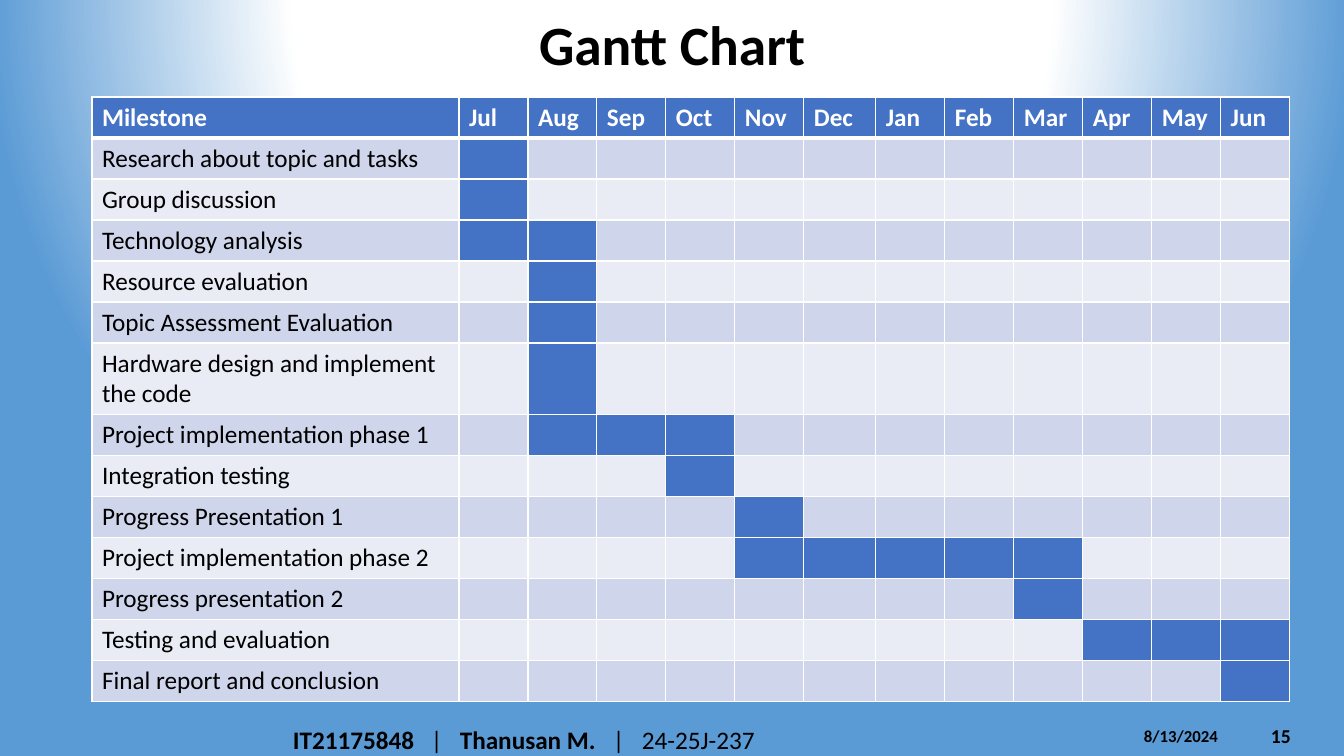
from dataclasses import dataclass

from lxml import etree
from pptx import Presentation
from pptx import util as u
from pptx.dml import color
from pptx.enum import text
from pptx.oxml import ns

PX = 914400 / 100.8
FONT = "Calibri"
COLOURS = {
    "black": "000000",
    "white": "FFFFFF",
    "sky": "5B9BD5",
    "bar": "4472C4",
    "odd": "CFD5EA",
    "even": "E9EBF5",
}
MONTHS = "Jul Aug Sep Oct Nov Dec Jan Feb Mar Apr May Jun".split()
MILESTONE_WIDTH, MONTH_WIDTH, DECEMBER_WIDTH = 367, 69, 72
ROW_HEIGHT, TALL_ROW_HEIGHT = 41, 71


@dataclass(frozen=True)
class Milestone:
    label: str
    start: str
    end: str
    height: int = ROW_HEIGHT


@dataclass(frozen=True)
class Box:
    left: int
    top: int
    width: int
    height: int

    def emu(self) -> tuple:
        return tuple(px(n) for n in (self.left, self.top, self.width, self.height))


@dataclass(frozen=True)
class Label:
    words: tuple
    box: Box
    size: int
    anchor: text.MSO_ANCHOR = text.MSO_ANCHOR.MIDDLE
    tabs: tuple = ()


MILESTONES = [
    Milestone("Research about topic and tasks", "Jul", "Jul"),
    Milestone("Group discussion", "Jul", "Jul"),
    Milestone("Technology analysis", "Jul", "Aug"),
    Milestone("Resource evaluation", "Aug", "Aug"),
    Milestone("Topic Assessment Evaluation", "Aug", "Aug"),
    Milestone("Hardware design and implement the code", "Aug", "Aug", TALL_ROW_HEIGHT),
    Milestone("Project implementation phase 1", "Aug", "Oct"),
    Milestone("Integration testing", "Oct", "Oct"),
    Milestone("Progress Presentation 1", "Nov", "Nov"),
    Milestone("Project implementation phase 2", "Nov", "Mar"),
    Milestone("Progress presentation 2", "Mar", "Mar"),
    Milestone("Testing and evaluation", "Apr", "Jun"),
    Milestone("Final report and conclusion", "Jun", "Jun"),
]
LABELS = [
    Label((("15", True),), Box(1261, 716, 75, 40), 14),
    Label((("8/13/2024", True),), Box(1134, 721, 118, 30), 12, text.MSO_ANCHOR.TOP),
    Label(
        (("IT21175848", True), ("\t|\t", False), ("Thanusan M.", True), ("\t|\t24-25J-237", False)),
        Box(283, 719, 751, 40), 18, tabs=(138, 167, 320, 349),
    ),
]


def px(length: int) -> u.Emu:
    return u.Emu(round(length * PX))


def add_element(parent, tag: str, **attributes):
    return etree.SubElement(parent, ns.qn(tag), {k: str(v) for k, v in attributes.items()})


def write(frame, words: tuple, *, size: float, colour: str = "black", tabs: tuple = ()) -> None:
    paragraph = frame.paragraphs[0]
    paragraph.alignment = text.PP_ALIGN.LEFT
    if tabs:
        stops = add_element(paragraph._p.get_or_add_pPr(), "a:tabLst")
        for stop in tabs:
            add_element(stops, "a:tab", pos=px(stop), algn="l")
    for wording, bold in words:
        run = paragraph.add_run()
        run.text = wording
        run.font.name = FONT
        run.font.size = u.Pt(size)
        run.font.bold = bold
        run.font.color.rgb = color.RGBColor.from_string(COLOURS[colour])


def paint_background(slide) -> None:
    slide.background.fill.gradient()
    gradient = slide.element.find(".//" + ns.qn("a:gradFill"))
    for child in list(gradient):
        gradient.remove(child)
    stops = add_element(gradient, "a:gsLst")
    for percent, name in ((0, "white"), (49, "white"), (89, "sky")):
        stop = add_element(stops, "a:gs", pos=percent * 1000)
        add_element(stop, "a:srgbClr", val=COLOURS[name])
    circle = add_element(gradient, "a:path", path="circle")
    add_element(circle, "a:fillToRect", l=50000, t=-80000, r=50000, b=180000)


def format_cell(cell, fill: str, bottom: int = 1) -> None:
    properties = cell._tc.get_or_add_tcPr()
    for tag, width in (("a:lnL", 1), ("a:lnR", 1), ("a:lnT", 1), ("a:lnB", bottom)):
        line = add_element(properties, tag, w=u.Pt(width))
        add_element(add_element(line, "a:solidFill"), "a:srgbClr", val=COLOURS["white"])
    cell.fill.solid()
    cell.fill.fore_color.rgb = color.RGBColor.from_string(COLOURS[fill])


def add_gantt(slide) -> None:
    widths = [MILESTONE_WIDTH] + [DECEMBER_WIDTH if m == "Dec" else MONTH_WIDTH for m in MONTHS]
    heights = [ROW_HEIGHT] + [m.height for m in MILESTONES]
    area = Box(92, 97, sum(widths), sum(heights))
    gantt = slide.shapes.add_table(len(heights), len(widths), *area.emu()).table
    for column, width in zip(gantt.columns, widths):
        column.width = px(width)
    for row, height in zip(gantt.rows, heights):
        row.height = px(height)

    for index, heading in enumerate(["Milestone"] + MONTHS):
        cell = gantt.cell(0, index)
        format_cell(cell, "bar", bottom=3)
        write(cell.text_frame, ((heading, True),), size=18, colour="white")

    for row, milestone in enumerate(MILESTONES, 1):
        band = "odd" if row % 2 else "even"
        first, last = MONTHS.index(milestone.start) + 1, MONTHS.index(milestone.end) + 1
        for index in range(len(widths)):
            format_cell(gantt.cell(row, index), "bar" if first <= index <= last else band)
        write(gantt.cell(row, 0).text_frame, ((milestone.label, False),), size=18)


def add_title(slide) -> None:
    title = slide.shapes.title
    title.left, title.top, title.width, title.height = Box(529, 0, 756, 96).emu()
    frame = title.text_frame
    frame.auto_size = text.MSO_AUTO_SIZE.NONE
    frame.vertical_anchor = text.MSO_ANCHOR.MIDDLE
    frame.paragraphs[0].line_spacing = 0.9
    write(frame, (("Gantt Chart", True),), size=39.6)


def add_label(slide, label: Label) -> None:
    frame = slide.shapes.add_textbox(*label.box.emu()).text_frame
    frame.word_wrap = True
    frame.vertical_anchor = label.anchor
    write(frame, label.words, size=label.size, tabs=label.tabs)


def main() -> None:
    deck = Presentation()
    deck.slide_width, deck.slide_height = px(1344), px(756)
    slide = deck.slides.add_slide(deck.slide_layouts[5])
    paint_background(slide)
    add_title(slide)
    add_gantt(slide)
    for label in LABELS:
        add_label(slide, label)
    deck.save("out.pptx")


if __name__ == "__main__":
    main()
